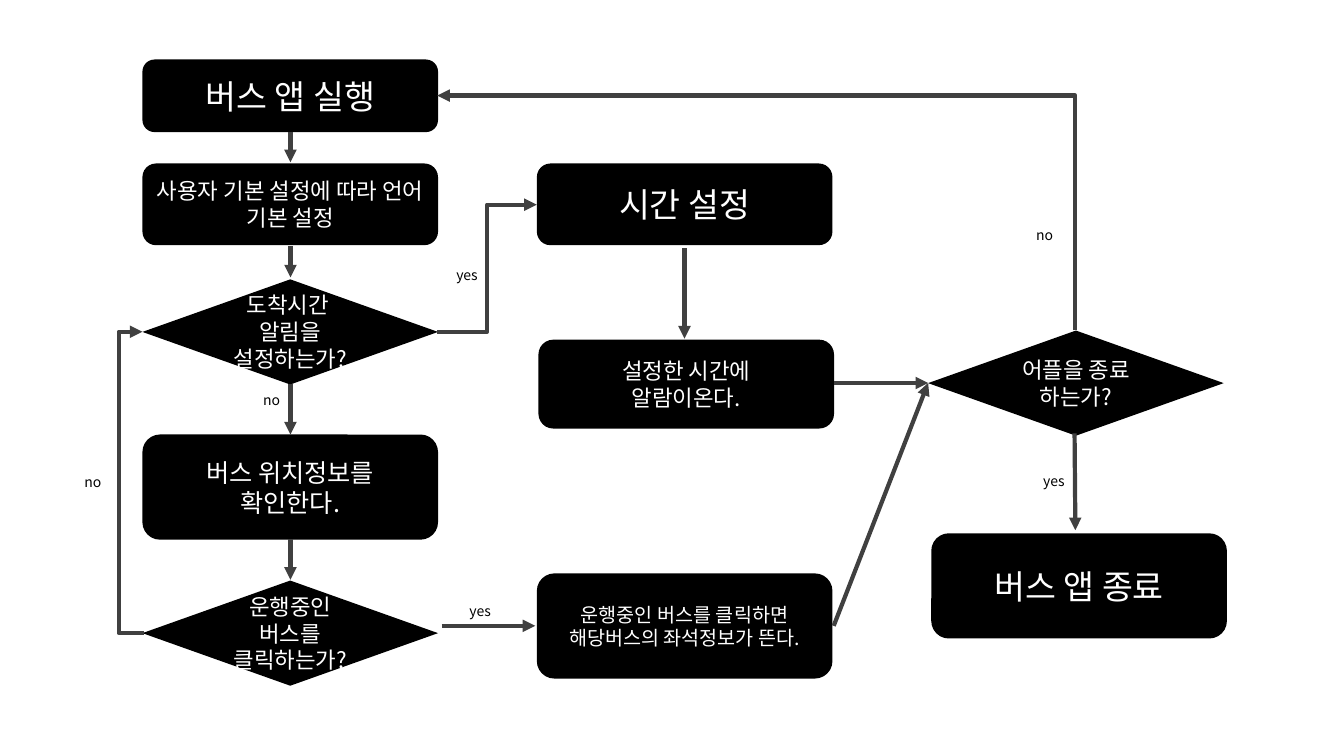
from dataclasses import dataclass

from lxml import etree
from pptx import Presentation
from pptx.dml.color import RGBColor
from pptx.enum.shapes import MSO_CONNECTOR, MSO_SHAPE
from pptx.enum.text import MSO_ANCHOR, MSO_AUTO_SIZE, PP_ALIGN
from pptx.oxml.ns import qn
from pptx.slide import Slide
from pptx.text.text import TextFrame
from pptx.util import Cm, Pt

STEP = MSO_SHAPE.FLOWCHART_ALTERNATE_PROCESS
ASK = MSO_SHAPE.FLOWCHART_DECISION
STRAIGHT = MSO_CONNECTOR.STRAIGHT
ELBOW = MSO_CONNECTOR.ELBOW
MIDDLE = MSO_ANCHOR.MIDDLE
CENTER = PP_ALIGN.CENTER
LEFT = PP_ALIGN.LEFT
GROW = MSO_AUTO_SIZE.SHAPE_TO_FIT_TEXT

FONT = "Noto Sans CJK KR"
BLACK = "000000"
WHITE = "FFFFFF"
GRAY = "404040"

WIDE = 7.45
TALL = 2.65
COL_A = 3.59
COL_B = 13.53
COL_C = 23.39
MID_A = 7.32
MID_C = 27.1


@dataclass
class Node:
    text: str
    x: float
    y: float
    size: int
    high: float = TALL
    kind: MSO_SHAPE = STEP


@dataclass
class Label:
    text: str
    x: float
    y: float


@dataclass
class Link:
    x1: float
    y1: float
    x2: float
    y2: float
    kind: MSO_CONNECTOR = STRAIGHT
    form: str = ""
    turn: int = 0
    bend: float = 0


NODES = [
    Node("버스 앱 실행", COL_A, 1.5, 24, 1.83),
    Node("사용자 기본 설정에 따라 언어 기본 설정", COL_A, 4.12, 16, 2.06),
    Node("도착시간 \n알림을 설정하는가?", COL_A, 7.04, 16, kind=ASK),
    Node("버스 위치정보를\n확인한다.", COL_A, 10.95, 18),
    Node("운행중인\n버스를 클릭하는가?", COL_A, 14.63, 16, kind=ASK),
    Node("시간 설정", COL_B, 4.12, 24, 2.06),
    Node("설정한 시간에\n알람이온다.", 13.57, 8.56, 16, 2.24),
    Node("운행중인 버스를 클릭하면\n해당버스의 좌석정보가 뜬다.", COL_B, 14.45, 14),
    Node("어플을 종료 하는가?", COL_C, 8.33, 16, kind=ASK),
    Node("버스 앱 종료", 23.47, 13.44, 24),
]

LABELS = [
    Label("no", 6.38, 9.73),
    Label("no", 1.88, 11.81),
    Label("yes", 11.25, 6.58),
    Label("no", 25.86, 5.59),
    Label("yes", 11.58, 15.06),
    Label("yes", 26.04, 11.79),
]

LINKS = [
    Link(MID_A, 3.33, MID_A, 4.09),
    Link(MID_A, 6.2, MID_A, 6.99),
    Link(MID_A, 9.68, MID_A, 10.95),
    Link(MID_A, 13.59, MID_A, 14.61),
    Link(11.13, 15.77, 13.49, 15.77),
    Link(17.25, 6.25, 17.25, 8.53),
    Link(21.03, 9.65, COL_C, 9.65),
    Link(21.01, 15.77, COL_C, 9.65),
    Link(27.08, 10.92, MID_C, 13.36),
    Link(11.02, 8.36, COL_B, 5.16, ELBOW, "bentConnector3", bend=0.5),
    Link(COL_A, 8.36, 3.63, 15.95, ELBOW, "bentConnector3", 180, 16),
    Link(16.1, 13.41, 22.02, -2.67, ELBOW, "bentConnector2", 270),
]


def tint(code: str) -> RGBColor:
    return RGBColor.from_string(code)


def write(frame: TextFrame, text: str, size: int, code: str, align: PP_ALIGN) -> None:
    frame.word_wrap = True
    for i, line in enumerate([text]):
        para = frame.paragraphs[i]
        para.text = line
        para.alignment = align
        for run in para.runs:
            run.font.size = Pt(size)
            run.font.name = FONT
            run.font.color.rgb = tint(code)
            etree.SubElement(run.font._element, qn("a:ea"), typeface=FONT)


def draw_node(slide: Slide, node: Node) -> None:
    shape = slide.shapes.add_shape(node.kind, Cm(node.x), Cm(node.y), Cm(WIDE), Cm(node.high))
    shape.shadow.inherit = False
    shape.fill.solid()
    shape.fill.fore_color.rgb = tint(BLACK)
    shape.line.fill.background()
    shape.text_frame.vertical_anchor = MIDDLE
    write(shape.text_frame, node.text, node.size, WHITE, CENTER)


def draw_label(slide: Slide, label: Label) -> None:
    box = slide.shapes.add_textbox(Cm(label.x), Cm(label.y), Cm(1.04), Cm(0.69))
    box.text_frame.auto_size = GROW
    box.text_frame.margin_right = 0
    write(box.text_frame, label.text, 10, BLACK, LEFT)


def draw_link(slide: Slide, link: Link) -> None:
    line = slide.shapes.add_connector(
        link.kind, Cm(link.x1), Cm(link.y1), Cm(link.x2), Cm(link.y2))
    line.line.width = Pt(3)
    line.line.color.rgb = tint(GRAY)
    props = line._element.spPr
    etree.SubElement(props.find(qn("a:ln")), qn("a:tailEnd"), type="triangle")
    etree.SubElement(props, qn("a:effectLst"))
    if link.turn:
        props.find(qn("a:xfrm")).set("rot", str(link.turn * 60000))
    if link.form:
        geom = props.find(qn("a:prstGeom"))
        geom.set("prst", link.form)
        if link.bend:
            rule = f"val {round(link.bend * 100000)}"
            etree.SubElement(geom.find(qn("a:avLst")), qn("a:gd"), name="adj1", fmla=rule)


def main() -> None:
    deck = Presentation()
    deck.slide_width = Cm(33.87)
    deck.slide_height = Cm(19.05)
    slide = deck.slides.add_slide(deck.slide_layouts[6])
    for node in NODES:
        draw_node(slide, node)
    for link in LINKS:
        draw_link(slide, link)
    for label in LABELS:
        draw_label(slide, label)
    deck.save("out.pptx")


if __name__ == "__main__":
    main()
